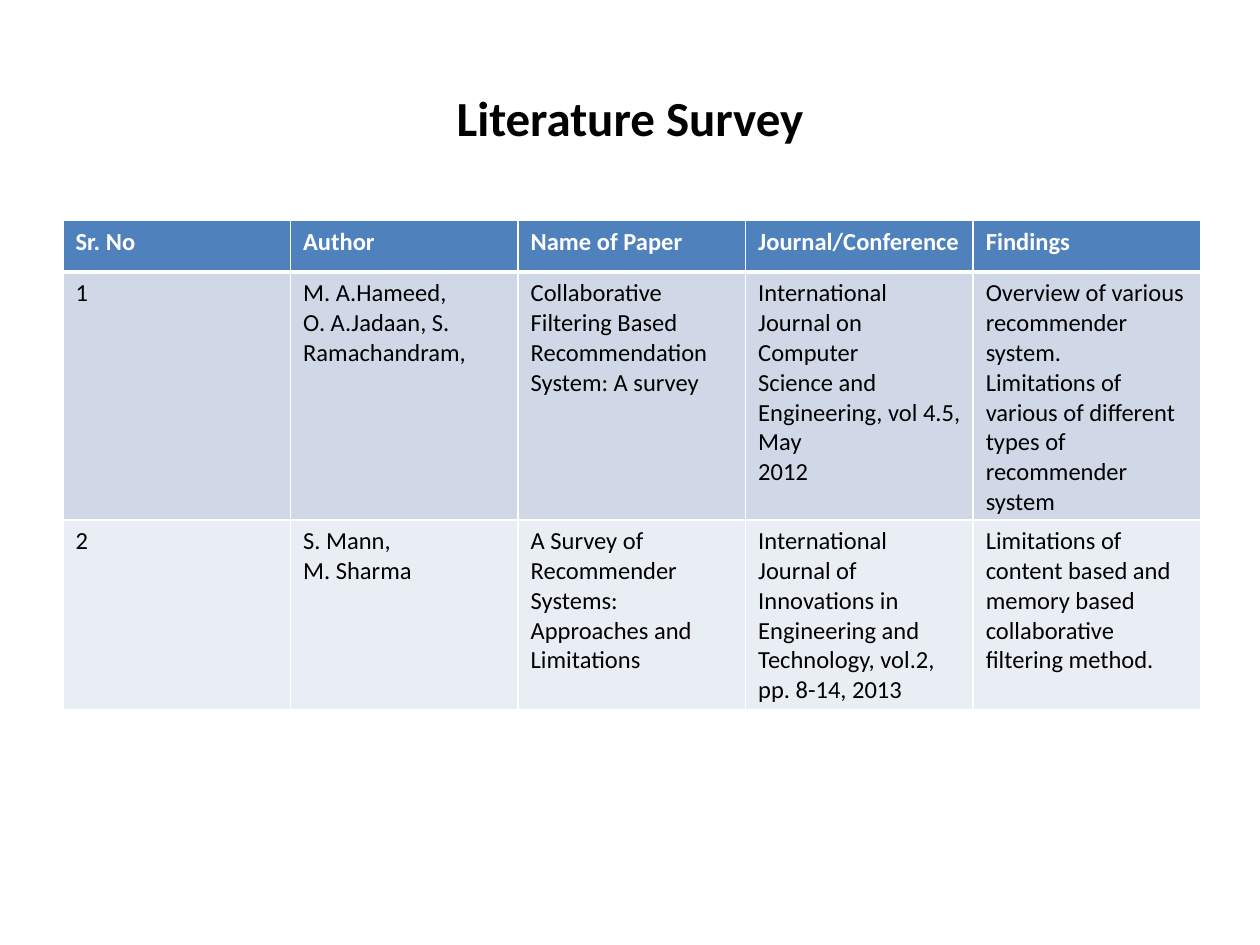
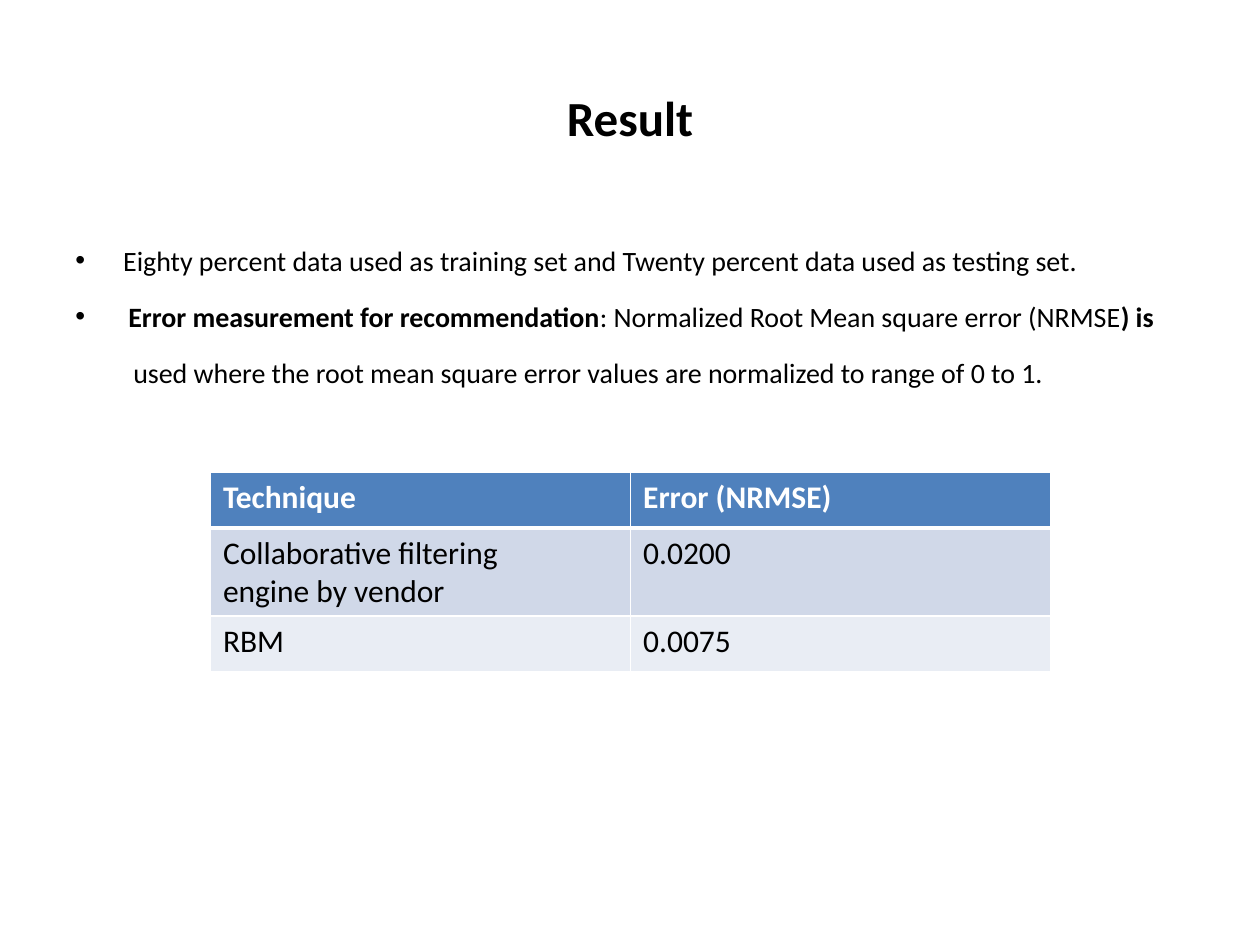
from lxml.etree import SubElement
from pptx import Presentation
from pptx.dml.color import RGBColor
from pptx.enum.text import MSO_ANCHOR, PP_ALIGN
from pptx.oxml.ns import qn
from pptx.util import Inches, Pt

FONT = "Calibri"
BLACK, WHITE = "000000", "FFFFFF"
HEADER_BLUE = "4F81BD"
BAND_FILLS = ["D0D8E8", "E9EDF4"]

PAPERS = [
    ["Sr. No", "Author", "Name of Paper", "Journal/Conference", "Findings"],
    ["1",
     "M. A.Hameed,\nO. A.Jadaan, S.\nRamachandram,",
     "Collaborative Filtering Based Recommendation System: A survey",
     "International\nJournal on Computer\nScience and Engineering, vol 4.5, May\n2012",
     "Overview of various recommender\nsystem.\n"
     "Limitations of various of different types of recommender system"],
    ["2",
     "S. Mann,\nM. Sharma",
     "A Survey of\nRecommender Systems:\nApproaches and\nLimitations",
     "International Journal of Innovations in\n"
     "Engineering and Technology, vol.2, pp. 8-14, 2013",
     "Limitations of content based and\n"
     "memory based collaborative filtering method."],
]
ERRORS = [
    ["Technique", "Error (NRMSE)"],
    ["Collaborative filtering\nengine by vendor", "0.0200"],
    ["RBM", "0.0075"],
]
# Each point: text indent in inches, bulleted or not, (text, bold) runs
POINTS = [
    (0.38, True, [("Eighty percent data used as training set and "
                   "Twenty percent data used as testing set.", False)]),
    (0.42, True, [("Error measurement for recommendation", True),
                  (": Normalized Root Mean square error (NRMSE", False),
                  (") is", True)]),
    (0.46, False, [("used where the root mean square error values are "
                    "normalized to range of 0 to 1.", False)]),
]


def rgb(hex_color):
    return RGBColor.from_string(hex_color)


def format_run(run, size, color=BLACK, bold=False):
    run.font.name = FONT
    run.font.size = Pt(size)
    run.font.color.rgb = rgb(color)
    run.font.bold = bold


def add_text_frame(slide, left, top, width, height):
    frame = slide.shapes.add_textbox(
        Inches(left), Inches(top), Inches(width), Inches(height)).text_frame
    frame.word_wrap = True
    return frame


def add_titled_slide(prs, title):
    slide = prs.slides.add_slide(prs.slide_layouts[6])
    frame = add_text_frame(slide, 0.5, 0.3, 9, 1.25)
    frame.vertical_anchor = MSO_ANCHOR.MIDDLE
    heading = frame.paragraphs[0]
    heading.text = title
    heading.alignment = PP_ALIGN.CENTER
    format_run(heading.runs[0], 28, bold=True)
    return slide


def indent_paragraph(paragraph, indent, bulleted):
    """Set the left indent, hanging a bullet in it when asked."""
    properties = paragraph._p.get_or_add_pPr()
    properties.set("marL", str(Inches(indent)))
    if bulleted:
        properties.set("indent", str(-Inches(indent)))
        SubElement(properties, qn("a:buFont"), typeface="Arial")
        SubElement(properties, qn("a:buChar"), char="•")


def add_points(slide, points):
    frame = add_text_frame(slide, 0.5, 1.75, 9, 1.6)
    for index, (indent, bulleted, pieces) in enumerate(points):
        paragraph = frame.add_paragraph() if index else frame.paragraphs[0]
        paragraph.line_spacing = 1.5
        paragraph.space_before = Pt(3.2)
        indent_paragraph(paragraph, indent, bulleted)
        for text, bold in pieces:
            run = paragraph.add_run()
            run.text = text
            format_run(run, 16, bold=bold)


def add_borders(cell, bottom_width):
    """Draw white cell borders, one point wide except at the bottom."""
    properties = cell._tc.get_or_add_tcPr()
    for side, width in (("L", 1), ("R", 1), ("T", 1), ("B", bottom_width)):
        line = SubElement(properties, qn(f"a:ln{side}"), w=str(Pt(width)))
        fill = SubElement(line, qn("a:solidFill"))
        SubElement(fill, qn("a:srgbClr"), val=WHITE)


def fill_cell(cell, text, size, row):
    is_header = row == 0
    add_borders(cell, 3 if is_header else 1)
    cell.fill.solid()
    cell.fill.fore_color.rgb = rgb(
        HEADER_BLUE if is_header else BAND_FILLS[(row - 1) % 2])
    cell.text_frame.text = text
    for paragraph in cell.text_frame.paragraphs:
        for run in paragraph.runs:
            format_run(run, size, WHITE if is_header else BLACK, is_header)


def add_data_table(slide, rows, left, top, width, row_height, size):
    table = slide.shapes.add_table(
        len(rows), len(rows[0]), Inches(left), Inches(top),
        Inches(width), Inches(row_height * len(rows))).table
    for row, texts in enumerate(rows):
        for column, text in enumerate(texts):
            fill_cell(table.cell(row, column), text, size, row)


def main():
    prs = Presentation()
    prs.slide_width, prs.slide_height = Inches(10), Inches(7.5)

    survey = add_titled_slide(prs, "Literature Survey")
    add_data_table(survey, PAPERS, 0.5, 1.75, 9.03, 0.41, 14)

    result = add_titled_slide(prs, "Result")
    add_points(result, POINTS)
    add_data_table(result, ERRORS, 1.67, 3.75, 6.67, 0.44, 18)

    prs.save("out.pptx")


if __name__ == "__main__":
    main()
